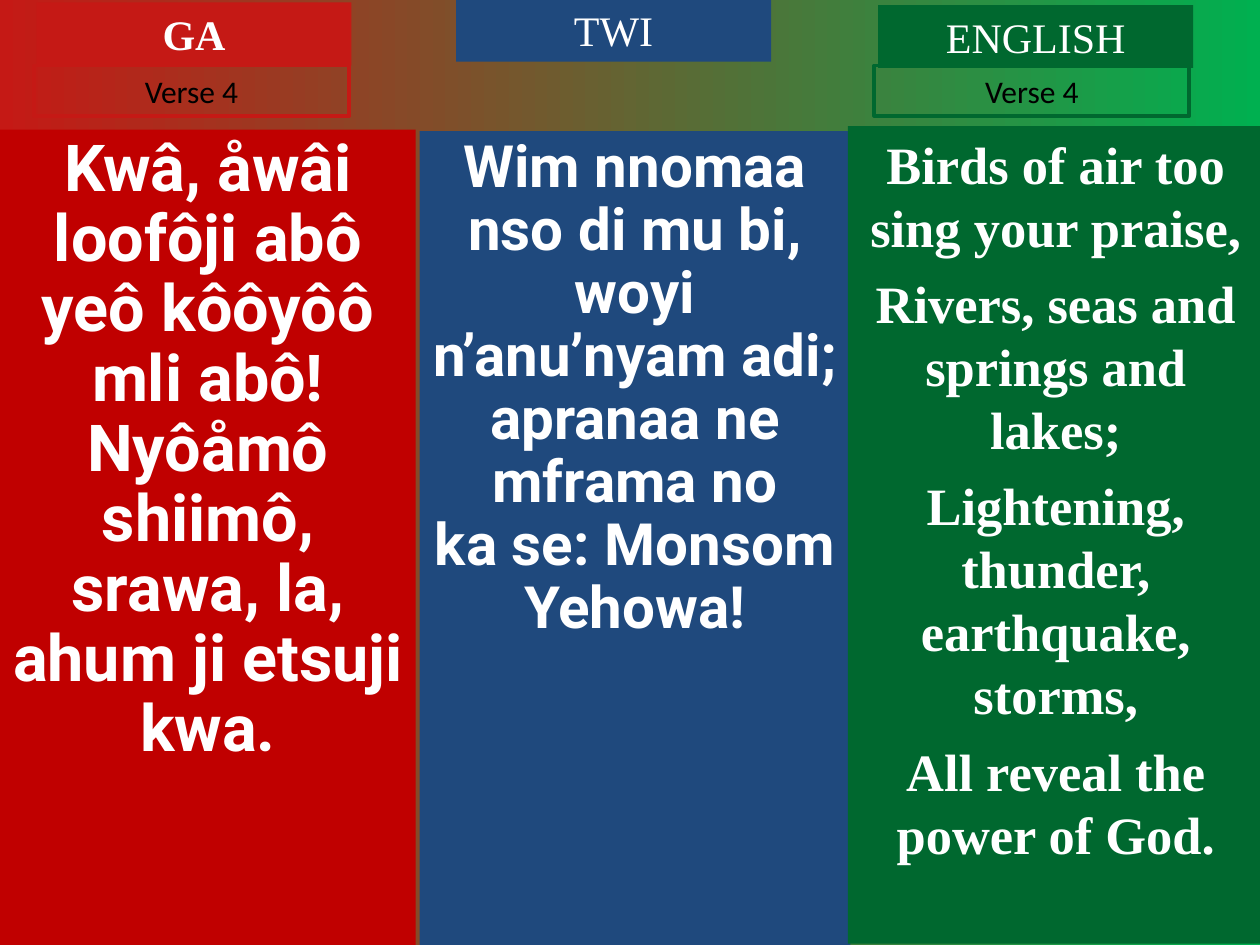
import pptx
import pptx.dml.color
import pptx.enum.shapes
import pptx.enum.text
import pptx.util
from pptx.util import Inches


def color(hex_string):
    return pptx.dml.color.RGBColor.from_string(hex_string)


def add_panel(box, lines, font_name, size, text_color, fill=None, outline=None,
              bold=False, line_spacing=1.0, gap=0, grow=False):
    shape = slide.shapes.add_shape(
        pptx.enum.shapes.MSO_SHAPE.RECTANGLE, *[Inches(length) for length in box])
    shape.shadow.inherit = False
    if fill:
        shape.fill.solid()
        shape.fill.fore_color.rgb = color(fill)
    else:
        shape.fill.background()
    if outline:
        shape.line.color.rgb = color(outline)
        shape.line.width = pptx.util.Pt(2.25)
    else:
        shape.line.fill.background()

    text_frame = shape.text_frame
    text_frame.text = "\n".join(lines)
    text_frame.word_wrap = True
    text_frame.vertical_anchor = pptx.enum.text.MSO_ANCHOR.TOP
    if grow:
        text_frame.auto_size = pptx.enum.text.MSO_AUTO_SIZE.SHAPE_TO_FIT_TEXT
    for index, paragraph in enumerate(text_frame.paragraphs):
        paragraph.alignment = pptx.enum.text.PP_ALIGN.CENTER
        paragraph.line_spacing = line_spacing
        paragraph.space_before = pptx.util.Pt(gap if index else 0)
        for run in paragraph.runs:
            run.font.name = font_name
            run.font.size = pptx.util.Pt(size)
            run.font.bold = bold
            run.font.color.rgb = color(text_color)


RED, BLUE, GREEN = "C51915", "1F497D", "00682F"
WHITE, BLACK = "FFFFFF", "000000"

presentation = pptx.Presentation()
presentation.slide_width = Inches(10)
presentation.slide_height = Inches(7.5)
slide = presentation.slides.add_slide(presentation.slide_layouts[6])

# Red to green background
background = slide.background.fill
background.gradient()
background.gradient_angle = 0
for stop, stop_color in zip(background.gradient_stops, (RED, "00B050")):
    stop.color.rgb = color(stop_color)

# Lyrics: box, fill, font, size, line spacing, gap, lines
lyrics = [
    ((0, 1.03, 3.3, 6.47), "C00000", "Roboto", 37, 0.9, 0,
     ["Kwâ, åwâi loofôji abô", "yeô kôôyôô mli abô!",
      "Nyôåmô shiimô, srawa, la,", "ahum ji etsuji kwa."]),
    ((3.33, 1.04, 3.42, 6.46), BLUE, "Roboto", 33.3, 0.9, 0,
     ["Wim nnomaa nso di mu bi,", "woyi n’anu’nyam adi;",
      "apranaa ne mframa no", "ka se: Monsom Yehowa!"]),
    ((6.73, 1, 3.3, 6.49), GREEN, "Times New Roman", 30, 1.0, 7.5,
     ["Birds of air too sing your praise,", "Rivers, seas and springs and lakes;",
      "Lightening, thunder, earthquake, storms,", "All reveal the power of God."]),
]
for box, fill, font_name, size, line_spacing, gap, lines in lyrics:
    add_panel(box, lines, font_name, size, WHITE, fill=fill, bold=True,
              line_spacing=line_spacing, gap=gap)

# Language headings
for left, top, language, fill, bold in [(0.29, 0.02, "GA", RED, True),
                                        (3.62, -0.01, "TWI", BLUE, False),
                                        (6.97, 0.04, "ENGLISH", GREEN, False)]:
    add_panel((left, top, 2.5, 0.5), [language], "Times New Roman", 24, WHITE,
              fill=fill, bold=bold, grow=True)

# Verse labels
for left, outline in [(0.27, RED), (6.94, GREEN)]:
    add_panel((left, 0.52, 2.5, 0.4), ["Verse 4"], "Calibri", 18, BLACK,
              outline=outline, grow=True)

presentation.save("out.pptx")
